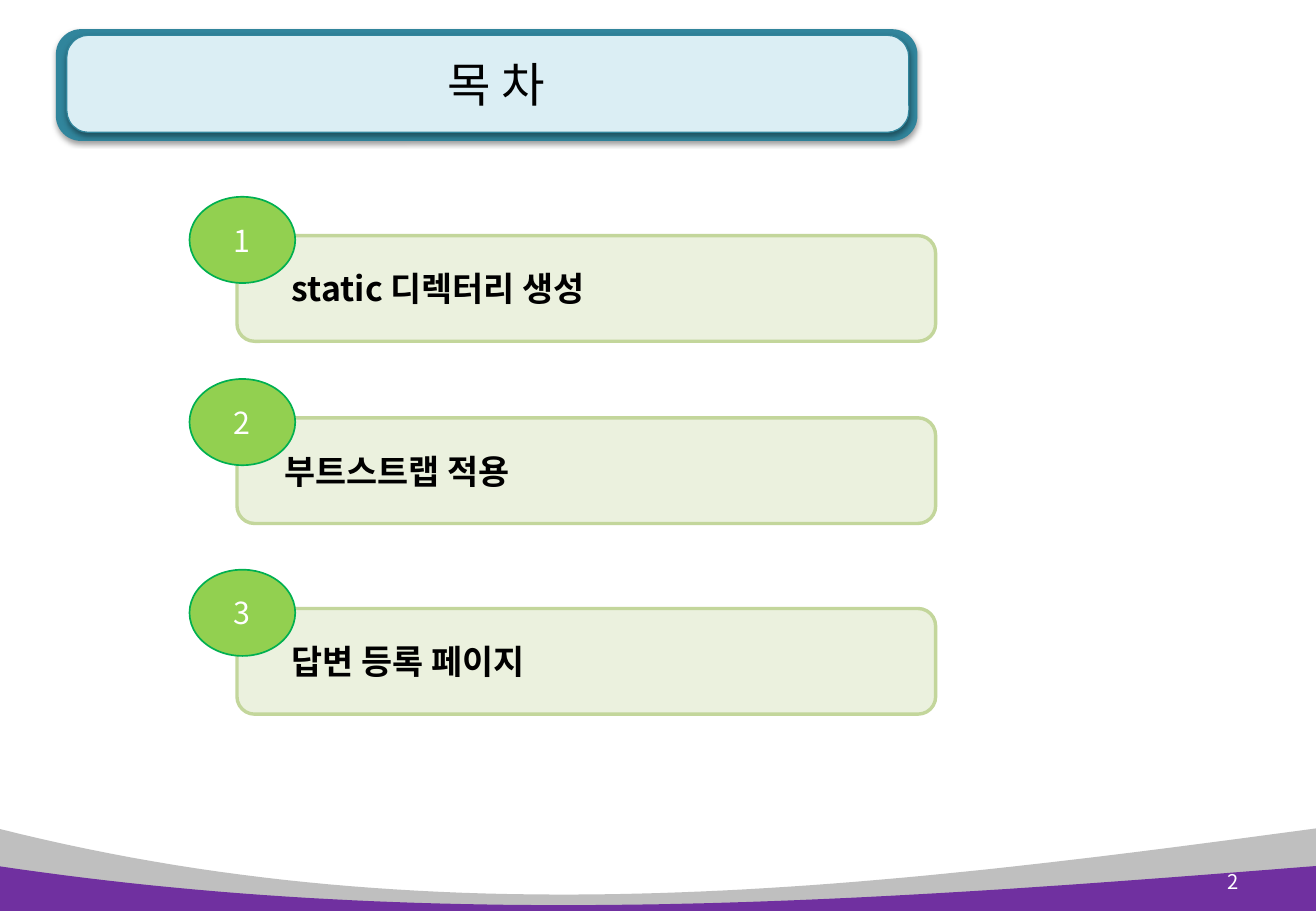
from lxml.etree import SubElement
from pptx import Presentation
from pptx.dml.color import RGBColor
from pptx.enum.shapes import MSO_SHAPE
from pptx.enum.text import MSO_ANCHOR, PP_ALIGN
from pptx.oxml.ns import qn
from pptx.util import Inches, Pt

TITLE = "목 차"
PAGE_NUMBER = "2"
# text, top of the number badge, text indent
AGENDA = [
    ("static 디렉터리 생성", 1.62, 0.31),
    ("부트스트랩 적용", 3.12, 0.25),
    ("답변 등록 페이지", 4.69, 0.31),
]
# colour, four Bezier points of the top edge, bottom
GRAY_WAVE = (RGBColor(0xBF, 0xBF, 0xBF),
             [(-0.02, 6.82), (3.65, 7.75), (7.2, 7.31), (10.83, 6.82)], 7.5)
PURPLE_WAVE = (RGBColor(0x70, 0x30, 0xA0),
               [(-0.02, 7.13), (3.65, 7.68), (7.2, 7.42), (10.83, 7.13)], 7.53)

FONT = "Noto Sans CJK KR"
BLACK = RGBColor(0x00, 0x00, 0x00)
WHITE = RGBColor(0xFF, 0xFF, 0xFF)
TEAL = RGBColor(0x31, 0x85, 0x9C)
PALE_TEAL = RGBColor(0xDB, 0xEE, 0xF4)
PALE_GREEN = RGBColor(0xEB, 0xF1, 0xDE)
BAR_BORDER = RGBColor(0xC3, 0xD6, 0x9B)
BADGE_GREEN = RGBColor(0x92, 0xD0, 0x50)
BADGE_BORDER = RGBColor(0x00, 0xB0, 0x50)

BADGE_LEFT, BADGE_WIDTH, BADGE_HEIGHT = 1.56, 0.87, 0.71
BAR_LEFT, BAR_WIDTH, BAR_HEIGHT = 1.95, 5.75, 0.87
BAR_DROP = 0.32
WAVE_STEPS = 60


def paint(shape, fill, border=None, border_width=0):
    shape.shadow.inherit = False
    shape.fill.solid()
    shape.fill.fore_color.rgb = fill
    if border is None:
        shape.line.fill.background()
    else:
        shape.line.color.rgb = border
        shape.line.width = Pt(border_width)


def add_box(slide, kind, box, fill, border=None, border_width=0):
    shape = slide.shapes.add_shape(kind, *map(Inches, box))
    paint(shape, fill, border, border_width)
    return shape


def add_shadow(shape):
    effects = shape._element.spPr.find(qn("a:effectLst"))
    shadow = SubElement(effects, qn("a:outerShdw"), blurRad=str(Pt(3.1)),
                        dist=str(Pt(1.6)), dir="5400000", rotWithShape="0")
    color = SubElement(shadow, qn("a:srgbClr"), val="000000")
    SubElement(color, qn("a:alpha"), val="38000")


def write(shape, text, size, color, align, bold=False):
    frame = shape.text_frame
    frame.word_wrap = True
    frame.vertical_anchor = MSO_ANCHOR.MIDDLE
    frame.text = text
    paragraph = frame.paragraphs[0]
    paragraph.alignment = align
    run = paragraph.runs[0]
    run.font.name = FONT
    run.font.size = Pt(size)
    run.font.bold = bold
    run.font.color.rgb = color
    run.font._element.find(qn("a:latin")).addnext(
        run.font._element.makeelement(qn("a:ea"), {"typeface": FONT}))


def add_text(slide, box, *style):
    write(slide.shapes.add_textbox(*map(Inches, box)), *style)


def bezier_point(points, t):
    weights = ((1 - t) ** 3, 3 * t * (1 - t) ** 2, 3 * t * t * (1 - t), t ** 3)
    return tuple(Inches(sum(weight * point[axis] for weight, point in zip(weights, points)))
                 for axis in (0, 1))


def add_wave(slide, color, points, bottom):
    edge = [bezier_point(points, step / WAVE_STEPS) for step in range(WAVE_STEPS + 1)]
    corners = [(edge[-1][0], Inches(bottom)), (edge[0][0], Inches(bottom))]
    builder = slide.shapes.build_freeform(*edge[0])
    builder.add_line_segments(edge[1:] + corners, close=True)
    paint(builder.convert_to_shape(), color)


def add_title_panel(slide, box, *style):
    panel = add_box(slide, MSO_SHAPE.ROUNDED_RECTANGLE, box, *style)
    panel.adjustments[0] = 0.225
    add_shadow(panel)


def add_agenda_item(slide, number, text, top, indent):
    bar = add_box(slide, MSO_SHAPE.ROUNDED_RECTANGLE,
                  (BAR_LEFT, top + BAR_DROP, BAR_WIDTH, BAR_HEIGHT),
                  PALE_GREEN, BAR_BORDER, 2)
    bar.text_frame.margin_left = Inches(0.1 + indent)
    write(bar, text, 20, BLACK, PP_ALIGN.LEFT, bold=True)
    badge = add_box(slide, MSO_SHAPE.OVAL,
                    (BADGE_LEFT, top, BADGE_WIDTH, BADGE_HEIGHT),
                    BADGE_GREEN, BADGE_BORDER, 1)
    write(badge, str(number), 18, WHITE, PP_ALIGN.CENTER)


def main():
    presentation = Presentation()
    presentation.slide_width = Inches(10.83)
    presentation.slide_height = Inches(7.5)
    slide = presentation.slides.add_slide(presentation.slide_layouts[6])

    add_wave(slide, *GRAY_WAVE)
    add_title_panel(slide, (0.46, 0.24, 7.09, 0.92), TEAL)
    add_title_panel(slide, (0.55, 0.29, 6.93, 0.8), PALE_TEAL, TEAL, 0.75)
    add_wave(slide, *PURPLE_WAVE)
    add_text(slide, (0.69, 0.22, 6.78, 0.94), TITLE, 28, BLACK, PP_ALIGN.CENTER)
    add_text(slide, (9.68, 7.06, 0.61, 0.4), PAGE_NUMBER, 12, WHITE, PP_ALIGN.RIGHT)
    for number, item in enumerate(AGENDA, start=1):
        add_agenda_item(slide, number, *item)

    presentation.save("out.pptx")


if __name__ == "__main__":
    main()
